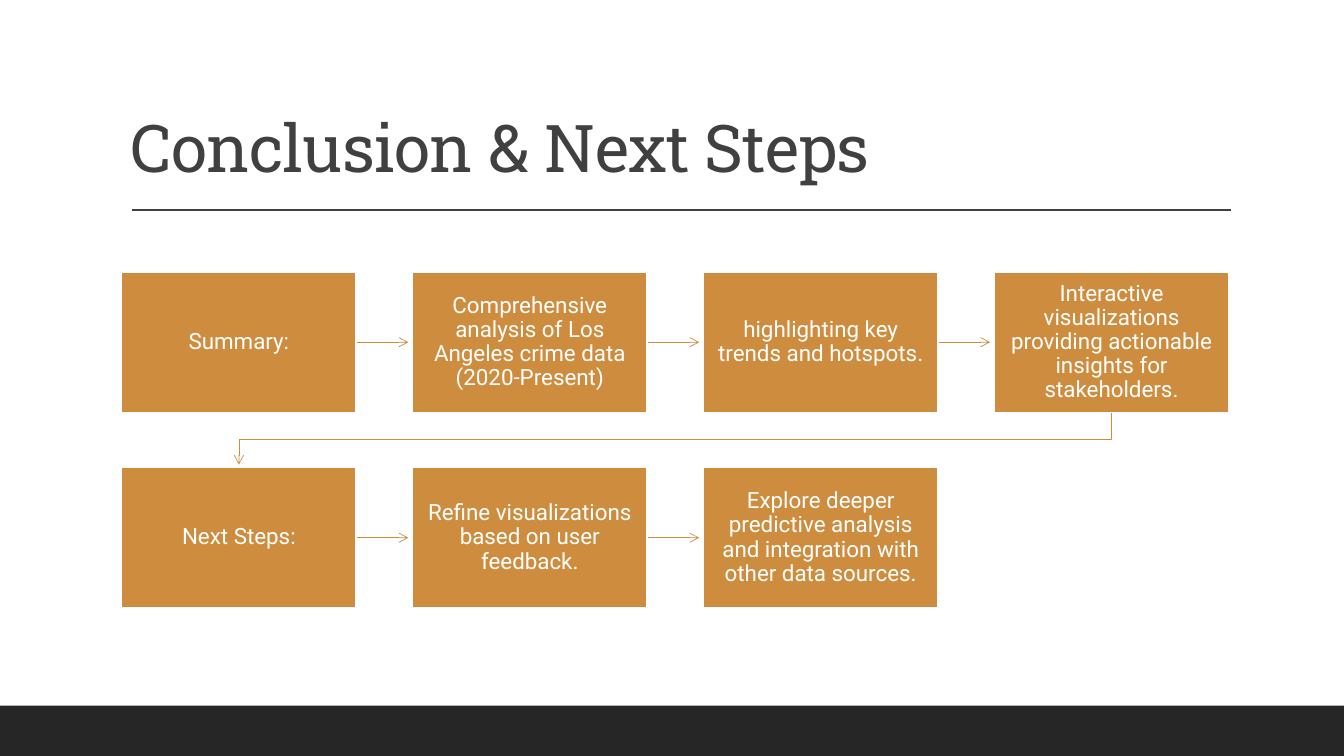
from lxml import etree
from pptx import Presentation
from pptx.dml.color import RGBColor
from pptx.enum import shapes, text
from pptx.oxml import ns
from pptx.util import Inches, Pt

COLORS = {"ochre": "CE8D3E", "dark": "262626", "gray": "404040", "white": "FFFFFF"}
STEP_ROWS = [
    [
        "Summary:",
        "Comprehensive analysis of Los Angeles crime data (2020-Present)",
        "highlighting key trends and hotspots.",
        "Interactive visualizations providing actionable insights for stakeholders.",
    ],
    [
        "Next Steps:",
        "Refine visualizations based on user feedback.",
        "Explore deeper predictive analysis and integration with other data sources.",
    ],
]
LEFT, TOP = 1.2, 2.69
BOX_WIDTH, BOX_HEIGHT = 2.34, 1.41
COLUMN_STEP, ROW_STEP = 2.885, 1.94
ARROW_LENGTH = 0.51
TITLE_FORMAT = {"name": "Roboto Slab", "size": Pt(47)}
STEP_FORMAT = {"name": "Roboto", "size": Pt(16)}


def write(shape, words, font_format, color, anchor):
    frame = shape.text_frame
    frame.word_wrap = True
    frame.vertical_anchor = anchor
    paragraph = frame.paragraphs[0]
    paragraph.line_spacing = 0.9
    run = paragraph.add_run()
    run.text = words
    for name, value in font_format.items():
        setattr(run.font, name, value)
    run.font.color.rgb = RGBColor.from_string(COLORS[color])
    return paragraph


def style_line(shape, color, width, arrow=False):
    """Set an unshadowed line, with an open arrowhead at its end if asked."""
    shape.line.color.rgb = RGBColor.from_string(COLORS[color])
    shape.line.width = Pt(width)
    properties = shape.line._get_or_add_ln()
    if arrow:
        etree.SubElement(properties, ns.qn("a:tailEnd"), type="arrow")
    properties.addnext(etree.Element(ns.qn("a:effectLst")))


presentation = Presentation()
presentation.slide_width = Inches(13.33)
presentation.slide_height = Inches(7.5)
slide = presentation.slides.add_slide(presentation.slide_layouts[6])

footer = slide.shapes.add_shape(
    shapes.MSO_SHAPE.RECTANGLE, 0, Inches(7), Inches(13.33), Inches(0.5)
)
footer.shadow.inherit = False
footer.fill.solid()
footer.fill.fore_color.rgb = RGBColor.from_string(COLORS["dark"])
footer.line.fill.background()

title_rule = slide.shapes.add_connector(
    shapes.MSO_CONNECTOR.STRAIGHT, Inches(1.31), Inches(2.08), Inches(12.21), Inches(2.08)
)
style_line(title_rule, "gray", 1.25)

title = slide.shapes.add_textbox(Inches(1.2), Inches(0.31), Inches(11), Inches(1.59))
title_paragraph = write(
    title, "Conclusion & Next Steps", TITLE_FORMAT, "gray", text.MSO_ANCHOR.BOTTOM
)
title_paragraph.runs[0].font._element.set("spc", "-50")

for row, steps in enumerate(STEP_ROWS):
    top = TOP + row * ROW_STEP
    middle = top + BOX_HEIGHT / 2
    for column, step in enumerate(steps):
        left = LEFT + column * COLUMN_STEP
        right = left + BOX_WIDTH
        box = slide.shapes.add_shape(
            shapes.MSO_SHAPE.RECTANGLE,
            Inches(left), Inches(top), Inches(BOX_WIDTH), Inches(BOX_HEIGHT),
        )
        box.fill.solid()
        box.fill.fore_color.rgb = RGBColor.from_string(COLORS["ochre"])
        style_line(box, "white", 2)
        frame = box.text_frame
        frame.margin_left = frame.margin_right = Inches(0.11)
        frame.margin_top = frame.margin_bottom = Inches(0.12)
        paragraph = write(box, step, STEP_FORMAT, "white", text.MSO_ANCHOR.MIDDLE)
        paragraph.alignment = text.PP_ALIGN.CENTER
        if column < len(steps) - 1:
            arrow = slide.shapes.add_connector(
                shapes.MSO_CONNECTOR.STRAIGHT,
                Inches(right), Inches(middle), Inches(right + ARROW_LENGTH), Inches(middle),
            )
            arrow.begin_connect(box, 3)
            style_line(arrow, "ochre", 0.5, arrow=True)

first_center = LEFT + BOX_WIDTH / 2
last_center = first_center + 3 * COLUMN_STEP
row_bottom = TOP + BOX_HEIGHT
turn = 4.36
builder = slide.shapes.build_freeform(Inches(last_center), Inches(row_bottom))
corners = [(last_center, turn), (first_center, turn), (first_center, row_bottom + ARROW_LENGTH)]
builder.add_line_segments([(Inches(x), Inches(y)) for x, y in corners], close=False)
row_arrow = builder.convert_to_shape()
row_arrow.fill.background()
style_line(row_arrow, "ochre", 0.5, arrow=True)

presentation.save("out.pptx")
